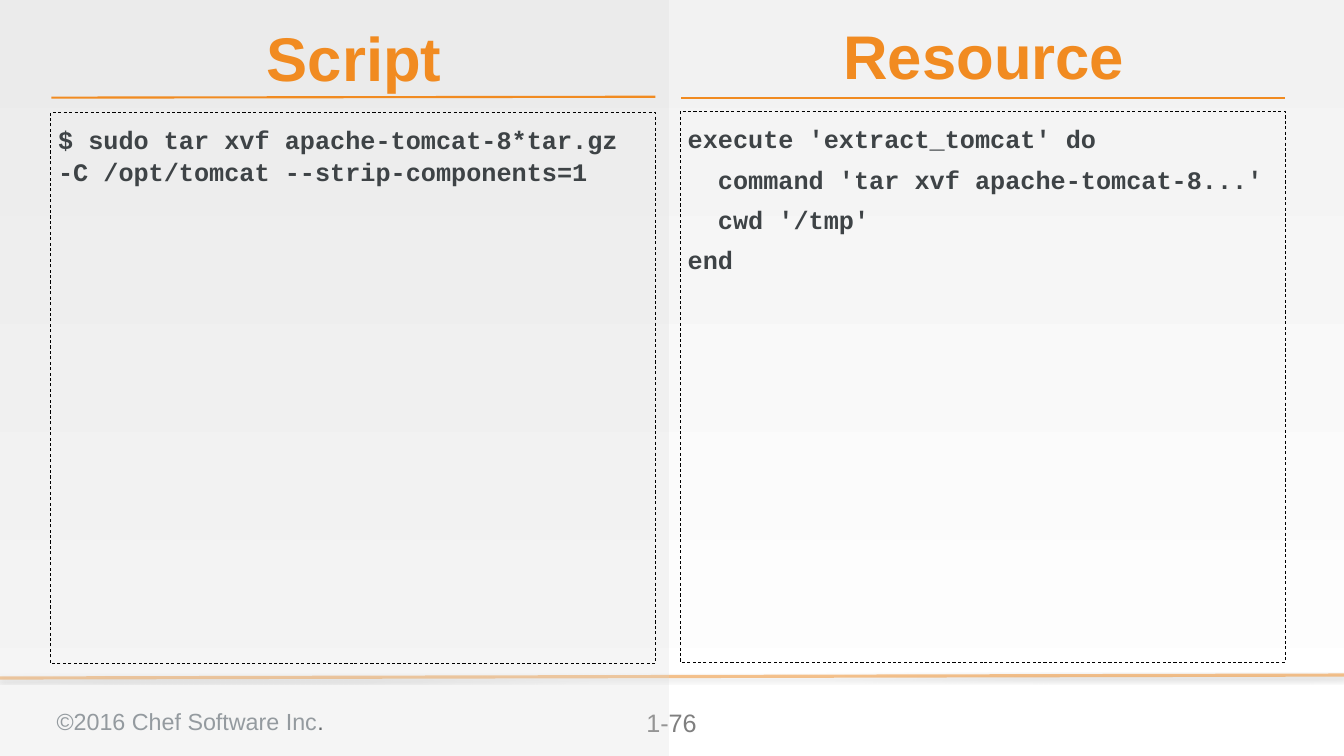
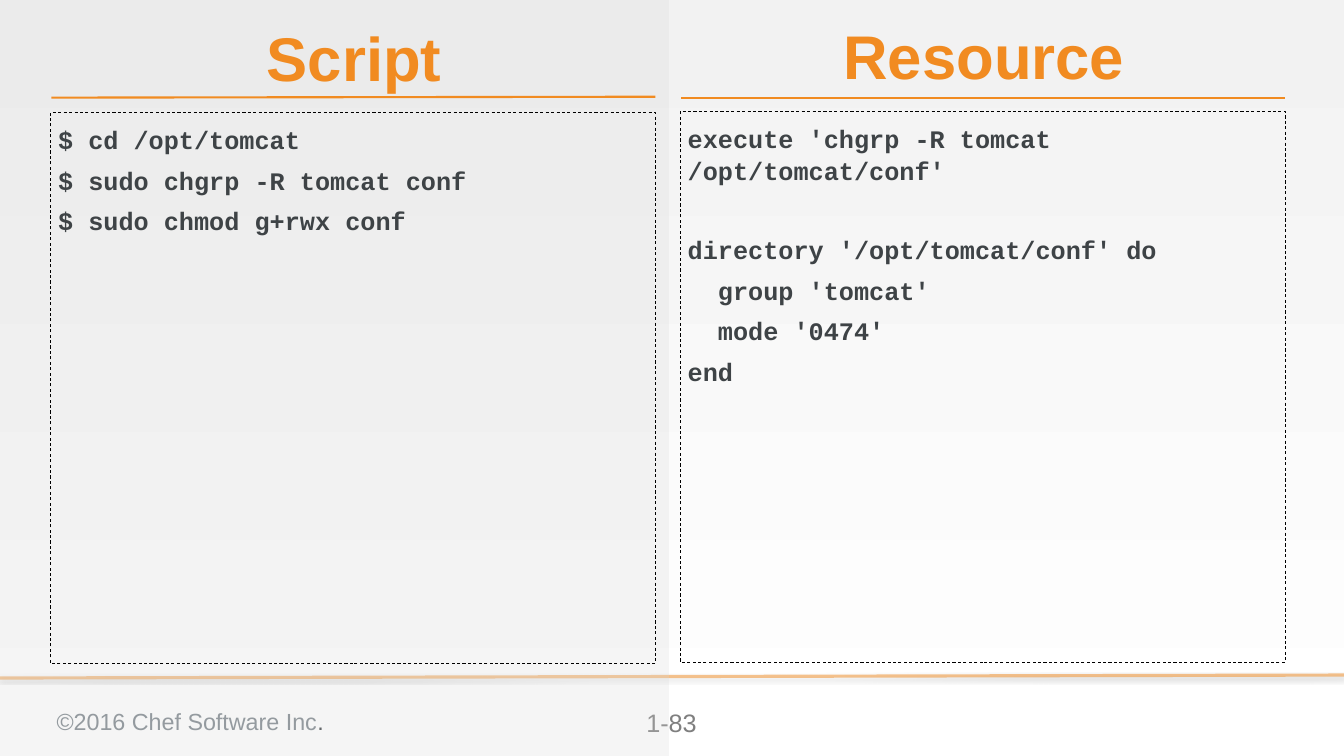
import lxml.etree
import pptx
import pptx.dml.color
import pptx.enum.dml
import pptx.enum.shapes
import pptx.enum.text
import pptx.oxml.ns
import pptx.util

Cm = pptx.util.Cm
Pt = pptx.util.Pt
RGBColor = pptx.dml.color.RGBColor
ALIGN = pptx.enum.text.PP_ALIGN
ANCHOR = pptx.enum.text.MSO_ANCHOR

ORANGE = RGBColor(0xF1, 0x8B, 0x21)
INK = RGBColor(0x3E, 0x43, 0x46)
SLATE = RGBColor(0x7D, 0x86, 0x8C)
GRAY = RGBColor(0x7F, 0x7F, 0x7F)
BAND = RGBColor(0xD9, 0xD9, 0xD9)
PALE = RGBColor(0xF2, 0xF2, 0xF2)
WHITE = RGBColor(0xFF, 0xFF, 0xFF)
BLACK = RGBColor(0, 0, 0)

SLIDE_WIDTH, SLIDE_HEIGHT = 45.16, 25.4
COLUMN_STEP = 21.16
SPACE_BEFORE = 8
BLANK_LINE = 28.8

COMPARISONS = [
    ("1-76",
     ["$ sudo tar xvf apache-tomcat-8*tar.gz -C /opt/tomcat --strip-components=1"],
     ["execute 'extract_tomcat' do",
      "  command 'tar xvf apache-tomcat-8...'",
      "  cwd '/tmp'",
      "end"]),
    ("1-83",
     ["$ cd /opt/tomcat",
      "$ sudo chgrp -R tomcat conf",
      "$ sudo chmod g+rwx conf"],
     ["execute 'chgrp -R tomcat /opt/tomcat/conf'",
      "",
      "directory '/opt/tomcat/conf' do",
      "  group 'tomcat'",
      "  mode '0474'",
      "end"]),
]


def add_element(parent, tag, **attributes):
    values = {name: str(value) for name, value in attributes.items()}
    return lxml.etree.SubElement(parent, pptx.oxml.ns.qn(tag), values)


def set_opacity(properties, percent):
    for color in properties.iter(pptx.oxml.ns.qn("a:srgbClr")):
        add_element(color, "a:alpha", val=percent * 1000)


class Deck:
    def __init__(self):
        self.presentation = pptx.Presentation()
        self.presentation.slide_width = Cm(SLIDE_WIDTH)
        self.presentation.slide_height = Cm(SLIDE_HEIGHT)
        self.slide = None

    def add_slide(self, number):
        self.slide = self.presentation.slides.add_slide(self.presentation.slide_layouts[6])
        fill = self.slide.background.fill
        fill.gradient()
        fill.gradient_angle = 270
        for stop, color, position in zip(fill.gradient_stops, (PALE, WHITE), (0, 1)):
            stop.color.rgb = color
            stop.position = position
        self.add_line(SLIDE_WIDTH, 22.68, 0, 22.78, 3, opacity=50, shadow=True)
        footer = self.add_text(1.65, 23.5, 15, 1.32, 0.25)
        self.add_run(footer, "©2016 Chef Software Inc", 22.2, SLATE)
        self.add_run(footer, ".", 22.2, INK)
        page = self.add_text(20.57, 23.5, 3.99, 1.45, 0.25, ALIGN.CENTER)
        self.add_run(page, number, 24, GRAY)
        band = self.add_rectangle(0, 0, 22.48, SLIDE_HEIGHT)
        band.fill.solid()
        band.fill.fore_color.rgb = BAND
        set_opacity(band.fill._xPr, 25)
        band.line.fill.background()

    def add_rectangle(self, left, top, width, height):
        shape = self.slide.shapes.add_shape(
            pptx.enum.shapes.MSO_SHAPE.RECTANGLE, Cm(left), Cm(top), Cm(width), Cm(height))
        shape.shadow.inherit = False
        return shape

    def add_line(self, x1, y1, x2, y2, width, opacity=100, shadow=False):
        line = self.slide.shapes.add_connector(
            pptx.enum.shapes.MSO_CONNECTOR.STRAIGHT, Cm(x1), Cm(y1), Cm(x2), Cm(y2))
        line.line.color.rgb = ORANGE
        line.line.width = Pt(width)
        properties = line._element.spPr
        if opacity < 100:
            set_opacity(properties, opacity)
        effects = add_element(properties, "a:effectLst")
        if shadow:
            outer = add_element(effects, "a:outerShdw", blurRad=Pt(3.1), dist=Pt(1.8),
                                dir=5400000, rotWithShape=0)
            color = add_element(outer, "a:srgbClr", val=BLACK)
            add_element(color, "a:alpha", val=35000)

    def set_frame(self, shape, left, top, right, bottom, anchor):
        frame = shape.text_frame
        frame.word_wrap = True
        frame.vertical_anchor = anchor
        frame.margin_left, frame.margin_top = Cm(left), Cm(top)
        frame.margin_right, frame.margin_bottom = Cm(right), Cm(bottom)
        return frame

    def add_text(self, left, top, width, height, margin, align=ALIGN.LEFT, anchor=ANCHOR.TOP):
        shape = self.slide.shapes.add_textbox(Cm(left), Cm(top), Cm(width), Cm(height))
        frame = self.set_frame(shape, margin, margin, margin, margin, anchor)
        paragraph = frame.paragraphs[0]
        paragraph.alignment = align
        return paragraph

    def add_run(self, paragraph, text, size, color, font="Arial", bold=False):
        run = paragraph.add_run()
        run.text = text
        run.font.size = Pt(size)
        run.font.name = font
        run.font.bold = bold
        run.font.color.rgb = color

    def add_code(self, left, top, lines):
        shape = self.add_rectangle(left, top, 20.32, 18.52)
        shape.fill.background()
        shape.line.color.rgb = BLACK
        shape.line.width = Pt(0.75)
        shape.line.dash_style = pptx.enum.dml.MSO_LINE.DASH
        frame = self.set_frame(shape, 0.25, 0.35, 0, 0, ANCHOR.TOP)
        paragraph = frame.paragraphs[0]
        gap = 0
        for index, text in enumerate(lines):
            if not text:
                gap += SPACE_BEFORE + BLANK_LINE
                continue
            if index:
                paragraph = frame.add_paragraph()
                paragraph.space_before = Pt(gap + SPACE_BEFORE)
            paragraph.alignment = ALIGN.LEFT
            paragraph.line_spacing = 1.06
            self.add_run(paragraph, text, 24, INK, "Courier New", True)
            gap = 0

    def add_column(self, index, heading, lines):
        offset = index * COLUMN_STEP
        rise = index * 0.04
        self.add_line(1.73 + offset, 3.28, 22.02 + offset, 3.25 + index * 0.03, 2)
        self.add_code(1.7 + offset, 3.78 - rise, lines)
        title = self.add_text(1.65 + offset, 0.74 - rise, 20.5, 2.31, 0,
                              ALIGN.CENTER, ANCHOR.MIDDLE)
        self.add_run(title, heading, 58.7, ORANGE, bold=True)


def main():
    deck = Deck()
    for number, script, resource in COMPARISONS:
        deck.add_slide(number)
        for index, column in enumerate((("Script", script), ("Resource", resource))):
            deck.add_column(index, *column)
    deck.presentation.save("out.pptx")


if __name__ == "__main__":
    main()
